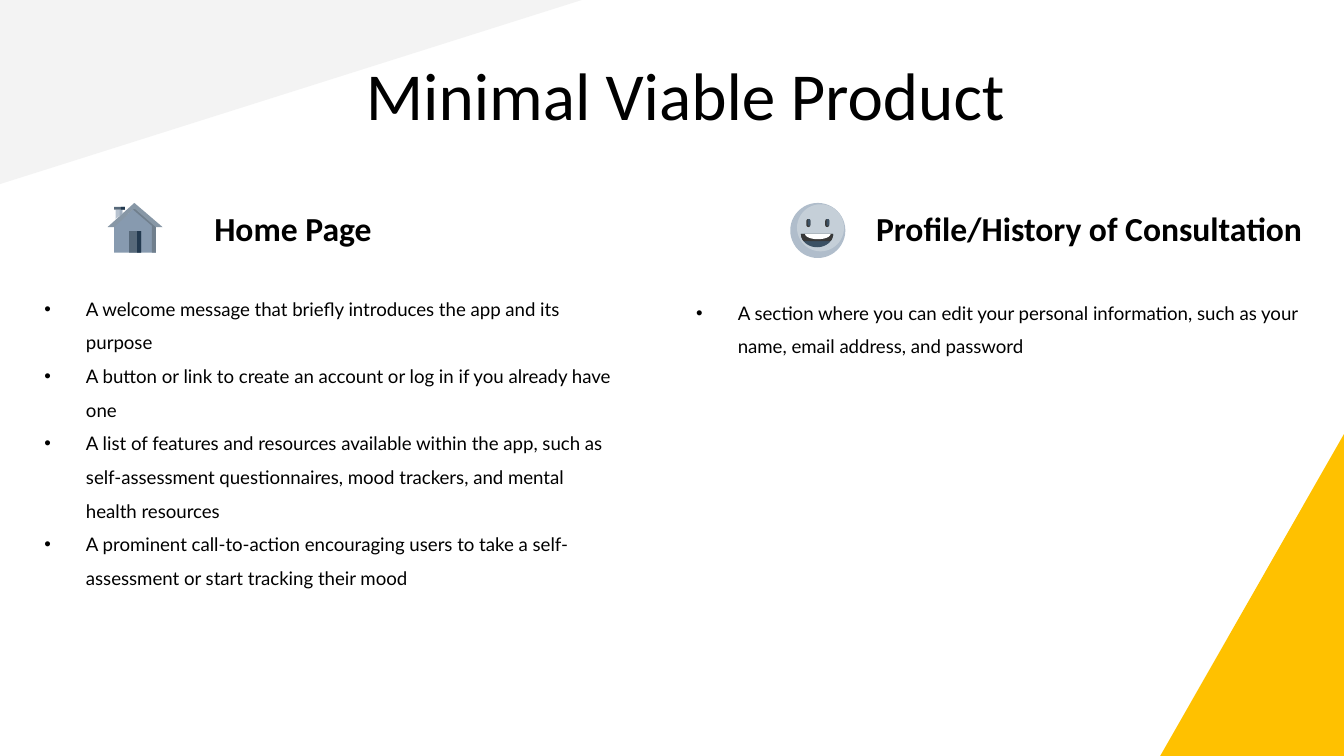
from math import cos, pi, sin

from pptx import Presentation
from pptx.dml.color import RGBColor
from pptx.enum import shapes as kinds, text as modes
from pptx.util import Inches, Pt

BLACK = RGBColor(0, 0, 0)
WHITE = RGBColor(255, 255, 255)
PALE = RGBColor(0xF3, 0xF3, 0xF3)
AMBER = RGBColor(0xFF, 0xC1, 0x00)
WALL = RGBColor(0x87, 0x9A, 0xAF)
SHADE = RGBColor(0x70, 0x7F, 0x8D)
ROOF = RGBColor(0x87, 0x97, 0xA6)
FLUE = RGBColor(0xB7, 0xC2, 0xCF)
DUSK = RGBColor(0x9F, 0xAE, 0xBF)
DOOR = RGBColor(0x57, 0x69, 0x7A)
NAVY = RGBColor(0x22, 0x39, 0x4F)
FACE = RGBColor(0xC5, 0xCF, 0xD8)
RIM = RGBColor(0xB0, 0xBD, 0xCB)
SLATE = RGBColor(0x3C, 0x51, 0x64)
COAL = RGBColor(0x38, 0x38, 0x38)

KIND = kinds.MSO_SHAPE


def paint(shape, color):
    shape.fill.solid()
    shape.fill.fore_color.rgb = color
    shape.line.fill.background()
    shape.shadow.inherit = False
    return shape


def place(shape, box):
    shape.left, shape.top, shape.width, shape.height = map(Inches, box)


def solid(host, kind, box, color):
    return paint(host.add_shape(kind, *map(Inches, box)), color)


def outline(host, left, top, points, color):
    """Draw a closed polygon whose points are relative to left, top."""
    spots = [(Inches(left + x), Inches(top + y)) for x, y in points]
    pen = host.build_freeform(*spots[0], scale=1.0)
    pen.add_line_segments(spots[1:], close=True)
    return paint(pen.convert_to_shape(), color)


def corner(slide, box, turn, color):
    """Fill half of the box with a triangle turned by a quarter, at the back."""
    left, top, wide, high = box
    shift = (wide - high) / 2
    shape = solid(slide.shapes, KIND.RIGHT_TRIANGLE,
                  (left + shift, top - shift, high, wide), color)
    shape.rotation = turn
    slide.shapes._spTree.insert(2, shape._element)


def house(slide, left, top):
    host = slide.shapes.add_group_shape().shapes
    parts = [
        ([(.06, .05), (.06, .12), (.11, .08), (.11, .05)], FLUE),
        ([(.09, .05), (.09, .1), (.11, .08), (.11, .05)], DUSK),
        ([(.2, .04), (.05, .17), (.05, .37), (.36, .37), (.36, .17)], WALL),
        ([(.2, .04), (.19, .05), (.33, .17), (.33, .37), (.36, .37),
          (.36, .17)], SHADE),
        ([(.2, 0), (0, .18), (.05, .18), (.2, .04), (.36, .18),
          (.41, .18)], ROOF),
    ]
    for points, color in parts:
        outline(host, left, top, points, color)
    for x, y, wide, high, color in [
            (.05, .03, .08, .02, DOOR), (.1, .03, .03, .02, NAVY),
            (.16, .21, .09, .16, DOOR), (.22, .21, .03, .16, NAVY)]:
        solid(host, KIND.RECTANGLE, (left + x, top + y, wide, high), color)


def bowl(wide, high, cut=1):
    """Points of a half ellipse below its chord, cut off at a part of its depth."""
    turns = [pi * i / 24 for i in range(25)]
    return [(wide / 2 * (1 - cos(a)), high * min(sin(a), cut)) for a in turns]


def smiley(slide, left, top):
    host = slide.shapes.add_group_shape().shapes
    solid(host, KIND.OVAL, (left, top, .41, .41), RIM)
    solid(host, KIND.OVAL, (left + .05, top + .01, .35, .35), FACE)
    mouth = left + .08, top + .23
    outline(host, *mouth, bowl(.24, .1), SLATE)
    outline(host, *mouth, bowl(.24, .1, .55), COAL)
    outline(host, left + .11, top + .23, bowl(.19, .04), WHITE)
    for x in (.12, .26):
        for inset, high, color in [(0, .06, COAL), (.01, .05, SLATE)]:
            eye = (left + x + inset, top + .12, .03 - inset, high)
            solid(host, KIND.ROUNDED_RECTANGLE, eye, color).adjustments[0] = .5


def style(para, font, size, bold=False):
    para.font.name = font
    para.font.size = Pt(size)
    para.font.bold = bold
    para.font.color.rgb = BLACK


def heading(shape, box, words, size, bold=False):
    place(shape, box)
    frame = shape.text_frame
    frame.text = words
    frame.auto_size = modes.MSO_AUTO_SIZE.NONE
    frame.vertical_anchor = modes.MSO_ANCHOR.MIDDLE
    para = frame.paragraphs[0]
    para.alignment = modes.PP_ALIGN.CENTER
    para.space_before = Pt(0)
    style(para, "Calibri", size, bold)


def listing(shape, box, items):
    place(shape, box)
    frame = shape.text_frame
    frame.text = "\n".join(items)
    frame.auto_size = modes.MSO_AUTO_SIZE.NONE
    for para in frame.paragraphs:
        props = para._p.get_or_add_pPr()
        props.set("marL", str(Inches(.31)))
        props.set("indent", str(Inches(-.31)))
        para.line_spacing = 1.5
        para.space_before = Pt(0)
        style(para, "Lato", 10)


def main():
    deck = Presentation()
    deck.slide_width = Inches(10)
    deck.slide_height = deck.slide_width * 9 // 16
    slide = deck.slides.add_slide(deck.slide_layouts.get_by_name("Comparison"))
    corner(slide, (0, 0, 4.33, 1.37), 90, PALE)
    corner(slide, (8.63, 3.23, 1.37, 2.4), 270, AMBER)
    title, home, tasks, profile, notes = slide.placeholders
    heading(title, (.67, .3, 8.86, .63), "Minimal Viable Product", 36)
    title.text_frame.vertical_anchor = modes.MSO_ANCHOR.TOP
    title.text_frame.margin_top = Inches(.1)

    house(slide, .8, 1.51)
    heading(home, (1.19, 1.5, 1.98, .39), "Home Page", 18, True)
    listing(tasks, (.23, 2.08, 4.43, 2.77), [
        "A welcome message that briefly introduces the app and its purpose",
        "A button or link to create an account or log in if you already have one",
        "A list of features and resources available within the app, such as "
        "self-assessment questionnaires, mood trackers, and mental health resources",
        "A prominent call-to-action encouraging users to take a self-assessment "
        "or start tracking their mood",
    ])

    smiley(slide, 5.88, 1.51)
    heading(profile, (6.35, 1.5, 3.51, .39),
            "Profile/History of Consultation", 18, True)
    listing(notes, (5.08, 2.11, 5, .58), [
        "A section where you can edit your personal information, such as your "
        "name, email address, and password",
    ])
    deck.save("out.pptx")


if __name__ == "__main__":
    main()
